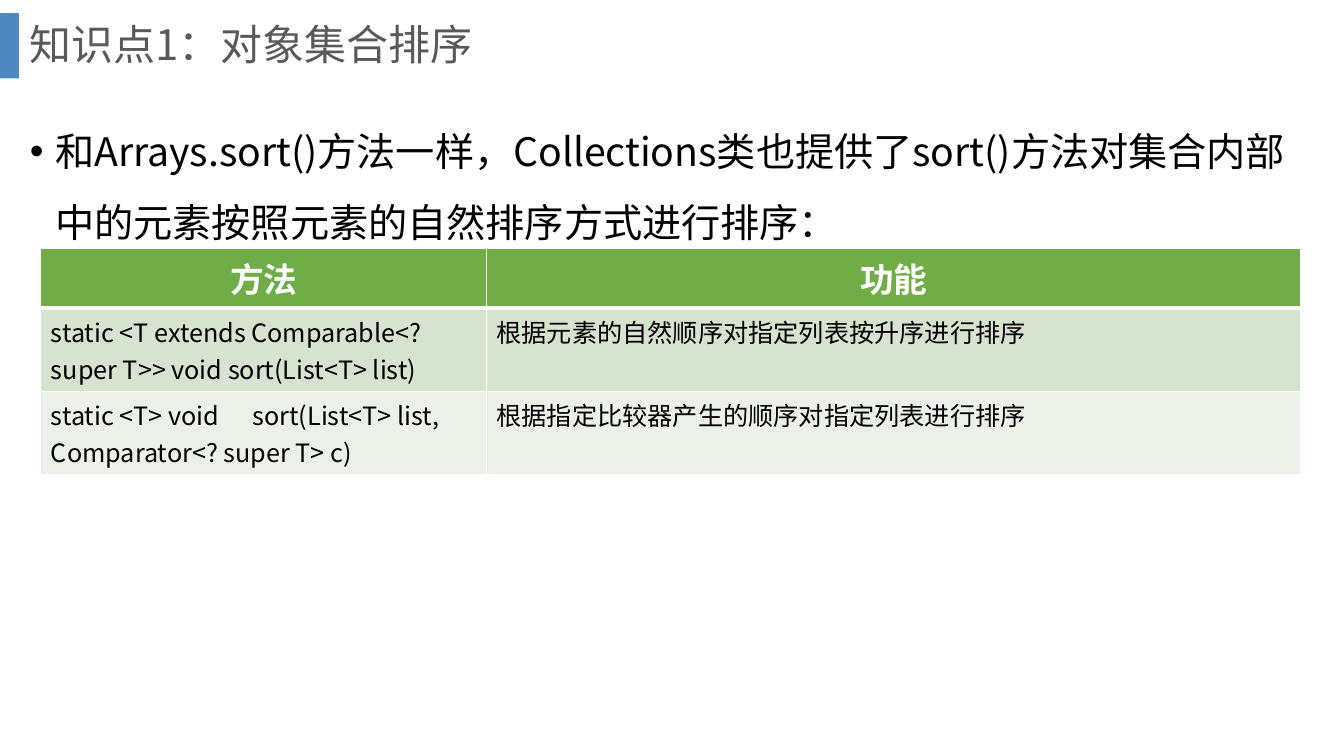
from dataclasses import dataclass

from lxml.etree import SubElement as Sub
from pptx import Presentation as Deck
from pptx.dml.color import RGBColor
from pptx.enum.shapes import MSO_SHAPE as Shape
from pptx.enum.text import MSO_ANCHOR as Anchor, MSO_AUTO_SIZE as Fit, PP_ALIGN as Align
from pptx.oxml.ns import qn
from pptx.util import Cm, Pt

FONT = "Noto Sans CJK SC"
BLUE = RGBColor(0x2E, 0x75, 0xB6)
GRAY = RGBColor(0x59, 0x59, 0x59)
BLACK = RGBColor(0, 0, 0)
WHITE = RGBColor(0xFF, 0xFF, 0xFF)
GREEN = RGBColor(0x70, 0xAD, 0x47)
SAGE = RGBColor(0xD5, 0xE3, 0xCF)
MIST = RGBColor(0xEB, 0xF1, 0xE9)


@dataclass(frozen=True)
class Row:
    texts: tuple[str, str]
    fill: RGBColor
    height: float
    top: float = 1
    base: float = 1
    head: bool = False


ROWS = (
    Row(("方法", "功能"), GREEN, 1.52, base=3, head=True),
    Row(("static <T extends Comparable<? super T>> void sort(List<T> list)",
         "根据元素的自然顺序对指定列表按升序进行排序"), SAGE, 2.08, top=3),
    Row(("static <T> void\tsort(List<T> list, Comparator<? super T> c)",
         "根据指定比较器产生的顺序对指定列表进行排序"), MIST, 2.08),
)
COLS = (11.23, 20.52)


def write(frame, text: str, *, size: float, color: RGBColor, bold: bool = False,
          align: Align = Align.LEFT, space: float = 1, before: float = 0):
    para = frame.paragraphs[0]
    para.alignment = align
    para.line_spacing = space
    para.space_before = Pt(before)
    run = para.add_run()
    run.text = text
    font = run.font
    font.size, font.bold, font.name = Pt(size), bold, FONT
    font.color.rgb = color
    Sub(run._r.get_or_add_rPr(), qn("a:ea"), typeface=FONT)
    return para


def place(shape, left: float, top: float, width: float, height: float) -> None:
    shape.left, shape.top = Cm(left), Cm(top)
    shape.width, shape.height = Cm(width), Cm(height)


def edge(cell, row: Row) -> None:
    props = cell._tc.get_or_add_tcPr()
    for side, width in (("L", 1), ("R", 1), ("T", row.top), ("B", row.base)):
        line = Sub(props, qn(f"a:ln{side}"), w=str(Pt(width)))
        Sub(Sub(line, qn("a:solidFill")), qn("a:srgbClr"), val=str(WHITE))


def draw_bar(slide) -> None:
    bar = slide.shapes.add_shape(Shape.RECTANGLE, 0, Cm(0.33), Cm(0.48), Cm(1.65))
    bar.shadow.inherit = False
    bar.line.fill.background()
    bar.fill.solid()
    bar.fill.fore_color.rgb = BLUE
    color = bar._element.spPr.find(".//" + qn("a:srgbClr"))
    Sub(color, qn("a:alpha"), val="85000")


def draw_title(slide) -> None:
    title = slide.shapes.title
    place(title, 0.48, 0, 32.16, 2.36)
    frame = title.text_frame
    frame.auto_size = Fit.NONE
    frame.vertical_anchor = Anchor.MIDDLE
    write(frame, "知识点1：对象集合排序", size=30, color=GRAY, space=0.9)


def draw_list(slide) -> None:
    body = slide.placeholders[1]
    place(body, 0.5, 2.49, 32.77, 15.14)
    frame = body.text_frame
    frame.auto_size = Fit.NONE
    para = write(
        frame,
        "和Arrays.sort()方法一样，Collections类也提供了sort()方法对集合内部中的元素按照元素的自然排序方式进行排序：",
        size=28, color=BLACK, space=1.5, before=10)
    props = para._p.get_or_add_pPr()
    props.set("marL", str(Cm(0.64)))
    props.set("indent", str(-Cm(0.64)))
    Sub(props, qn("a:buFont"), typeface="Arial")
    Sub(props, qn("a:buChar"), char="•")


def draw_table(slide) -> None:
    height = sum(row.height for row in ROWS)
    table = slide.shapes.add_table(
        len(ROWS), len(COLS), Cm(1.03), Cm(6.25), Cm(sum(COLS)), Cm(height)).table
    table.horz_banding = False
    for col, width in zip(table.columns, COLS):
        col.width = Cm(width)
    for line, row in zip(table.rows, ROWS):
        line.height = Cm(row.height)
        for cell, text in zip(line.cells, row.texts):
            edge(cell, row)
            cell.fill.solid()
            cell.fill.fore_color.rgb = row.fill
            cell.vertical_anchor = Anchor.MIDDLE if row.head else Anchor.TOP
            write(cell.text_frame, text, bold=row.head,
                  size=24 if row.head else 18,
                  color=WHITE if row.head else BLACK,
                  align=Align.CENTER if row.head else Align.LEFT)


def main() -> None:
    deck = Deck()
    deck.slide_width, deck.slide_height = Cm(33.87), Cm(19.05)
    slide = deck.slides.add_slide(deck.slide_layouts[1])
    draw_bar(slide)
    draw_title(slide)
    draw_list(slide)
    draw_table(slide)
    deck.save("out.pptx")


if __name__ == "__main__":
    main()
